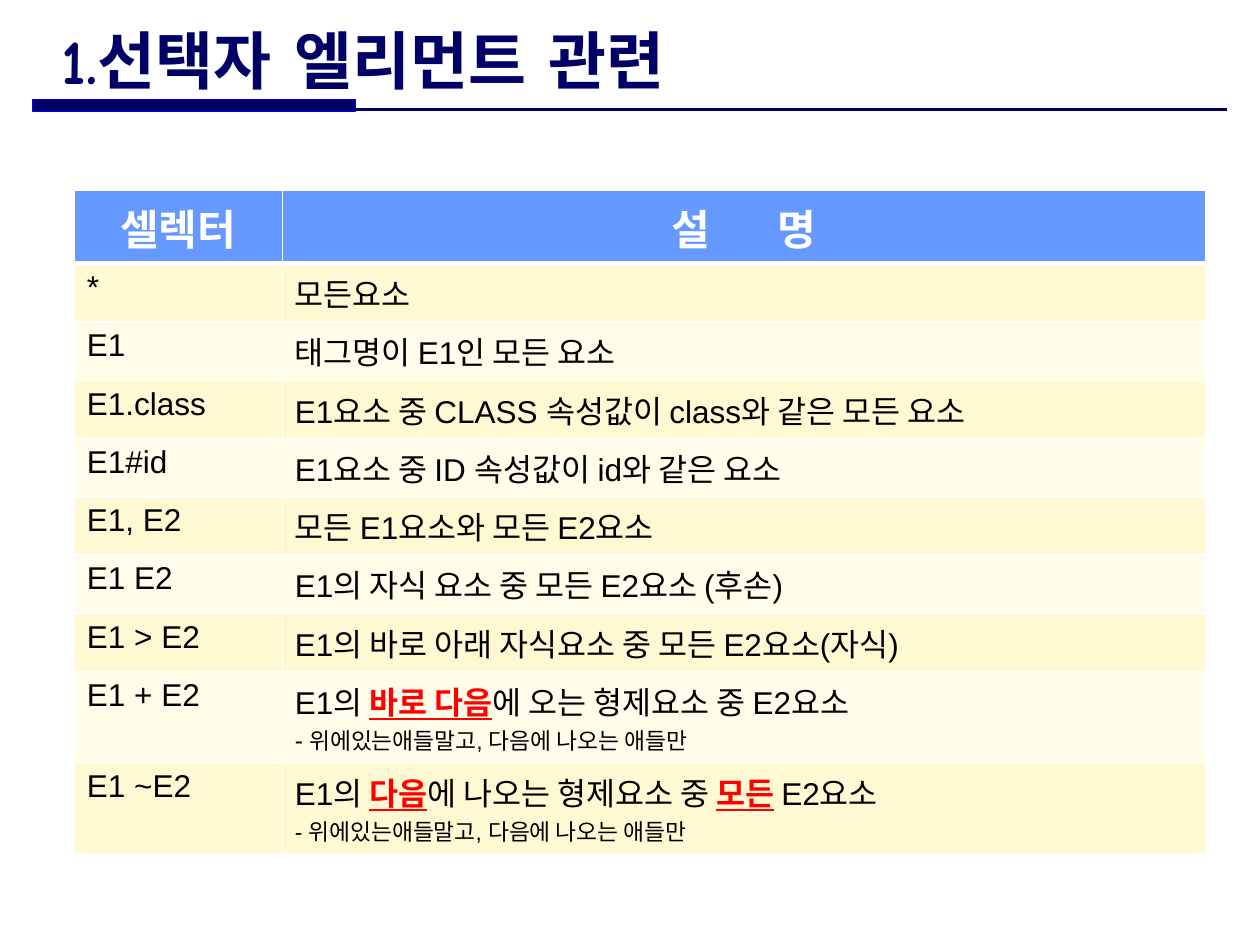
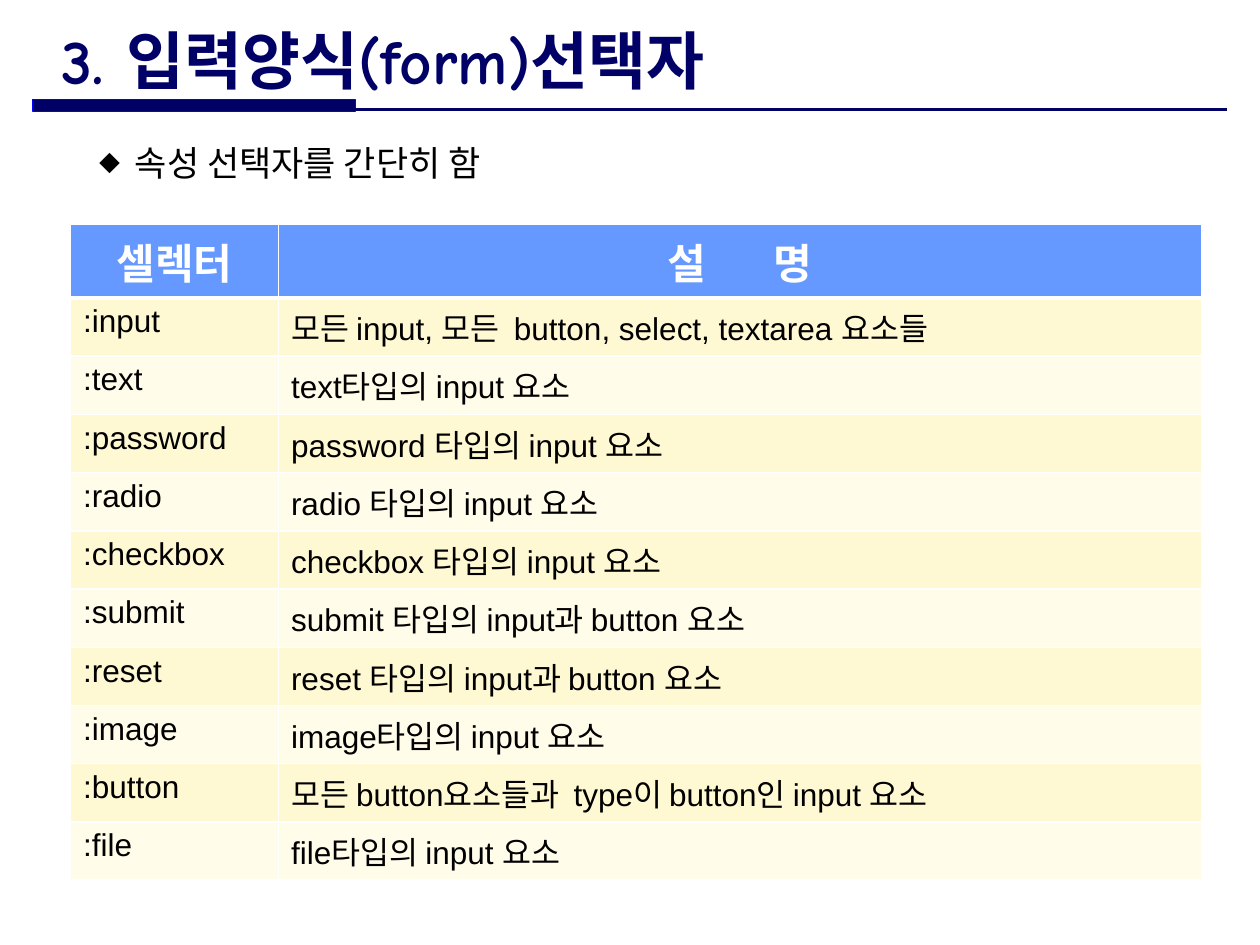
from dataclasses import dataclass
from typing import NamedTuple

from lxml.etree import SubElement
from pptx import Presentation
from pptx.dml.color import RGBColor
from pptx.enum.shapes import MSO_CONNECTOR, MSO_SHAPE
from pptx.enum.text import MSO_ANCHOR, MSO_AUTO_SIZE, PP_ALIGN
from pptx.oxml.ns import qn
from pptx.util import Inches, Pt

NAVY, BLUE, RED = "000066", "0000FF", "FF0000"
BLACK, WHITE = "000000", "FFFFFF"
HEADER_FILL = "6699FF"
BAND_FILLS = ("FFF9D3", "FFFCEA")
TITLE_FONT, LATIN_FONT, KOREAN_FONT = "Comic Neue", "Arial", "Noto Sans CJK KR"
COLUMN_WIDTHS = (1.65, 7.33)


class Span(NamedTuple):
    text: str
    size: float = 18
    color: str = BLACK
    bold: bool = False
    underline: bool = False
    latin: str = LATIN_FONT
    korean: str = KOREAN_FONT
    spacing: float = 0


class SelectorRow(NamedTuple):
    selector: str
    lines: list[list[Span]]


@dataclass
class SelectorTable:
    left: float
    top: float
    header_height: float
    row_height: float
    rows: list[SelectorRow]


@dataclass
class SelectorSlide:
    title: str
    table: SelectorTable
    bullet: str = ""


def rgb(value: str) -> RGBColor:
    return RGBColor.from_string(value)


def plain(selector: str, description: str) -> SelectorRow:
    return SelectorRow(selector, [[Span(description)]])


def key(text: str) -> Span:
    return Span(text, color=RED, bold=True, underline=True)


def header(text: str, spacing: float = 0) -> Span:
    return Span(text, 24, WHITE, True, spacing=spacing)


HEADER_CELLS = (
    [header("셀렉터")],
    [header("설"), header(" ", spacing=33), header("명")],
)

SIBLING_NOTE = "위에있는애들말고, 다음에 나오는 애들만"

ELEMENT_ROWS = [
    plain("*", "모든요소"),
    plain("E1", "태그명이 E1인 모든 요소"),
    plain("E1.class", "E1요소 중 CLASS 속성값이 class와 같은 모든 요소"),
    plain("E1#id", "E1요소 중 ID 속성값이 id와 같은 요소"),
    plain("E1, E2", "모든 E1요소와 모든 E2요소"),
    plain("E1 E2", "E1의 자식 요소 중 모든 E2요소 (후손)"),
    plain("E1 > E2", "E1의 바로 아래 자식요소 중 모든 E2요소(자식)"),
    SelectorRow("E1 + E2", [
        [Span("E1의 "), key("바로 다음"), Span("에 오는 형제요소 중 E2요소")],
        [Span("-", 14), Span(f" {SIBLING_NOTE}", 13)],
    ]),
    SelectorRow("E1 ~E2", [
        [Span("E1의 "), key("다음"), Span("에 나오는 형제요소 중 "), key("모든"),
         Span(" E2요소")],
        [Span(f"- {SIBLING_NOTE}", 13)],
    ]),
]

FORM_ROWS = [
    plain(":input", "모든 input, 모든  button, select, textarea 요소들"),
    plain(":text", "text타입의 input 요소"),
    plain(":password", "password 타입의 input 요소"),
    plain(":radio", "radio 타입의 input 요소"),
    plain(":checkbox", "checkbox 타입의 input 요소"),
    plain(":submit", "submit 타입의 input과 button 요소"),
    plain(":reset", "reset 타입의 input과 button 요소"),
    plain(":image", "image타입의 input 요소"),
    plain(":button", "모든 button요소들과  type이 button인 input 요소"),
    plain(":file", "file타입의 input 요소"),
]

SLIDES = [
    SelectorSlide("1.선택자 엘리먼트 관련",
                  SelectorTable(0.59, 1.51, 0.53, 0.43, ELEMENT_ROWS)),
    SelectorSlide("3. 입력양식(form)선택자",
                  SelectorTable(0.56, 1.78, 0.41, 0.41, FORM_ROWS),
                  "속성 선택자를 간단히 함"),
]


def write_spans(para, spans: list[Span], align=PP_ALIGN.LEFT) -> None:
    para.alignment = align
    for span in spans:
        run = para.add_run()
        run.text = span.text
        font = run.font
        font.size = Pt(span.size)
        font.bold = span.bold
        font.underline = span.underline
        font.color.rgb = rgb(span.color)
        font.name = span.latin
        properties = run._r.get_or_add_rPr()
        SubElement(properties, qn("a:ea")).set("typeface", span.korean)
        if span.spacing:
            properties.set("spc", str(int(span.spacing * 100)))


def place(shape, left: float, top: float, width: float, height: float) -> None:
    shape.left, shape.top = Inches(left), Inches(top)
    shape.width, shape.height = Inches(width), Inches(height)


# Title with the navy band and rule below it
def draw_heading(page, title: str) -> None:
    band = page.shapes.add_shape(MSO_SHAPE.RECTANGLE, Inches(0.26), Inches(0.79),
                                 Inches(2.56), Inches(0.09))
    band.shadow.inherit = False
    band.fill.solid()
    band.fill.fore_color.rgb = rgb(NAVY)
    band.line.color.rgb = rgb(BLUE)
    band.line.width = Pt(0.75)

    rule = page.shapes.add_connector(MSO_CONNECTOR.STRAIGHT, Inches(0.26),
                                     Inches(0.87), Inches(9.74), Inches(0.87))
    rule.line.color.rgb = rgb(NAVY)
    rule.line.width = Pt(1.5)
    SubElement(rule._element.spPr, qn("a:effectLst"))

    box = page.shapes.title
    place(box, 0.39, 0.21, 6.79, 0.52)
    frame = box.text_frame
    frame.auto_size = MSO_AUTO_SIZE.NONE
    frame.vertical_anchor = MSO_ANCHOR.MIDDLE
    write_spans(frame.paragraphs[0], [Span(title, 36, NAVY, True,
                                           latin=TITLE_FONT, korean=TITLE_FONT)])


# Body line with a diamond bullet
def draw_bullet(page, text: str) -> None:
    box = page.placeholders[1]
    place(box, 0.65, 1.07, 7.92, 0.44)
    frame = box.text_frame
    frame.auto_size = MSO_AUTO_SIZE.NONE
    frame.vertical_anchor = MSO_ANCHOR.TOP
    para = frame.paragraphs[0]
    write_spans(para, [Span(text, 20, latin=KOREAN_FONT)])
    para.space_before = Pt(0)
    properties = para._p.get_or_add_pPr()
    properties.set("marL", str(Inches(0.32)))
    properties.set("indent", str(Inches(-0.28)))
    SubElement(properties, qn("a:buSzPct")).set("val", "60000")
    SubElement(properties, qn("a:buFont")).set("typeface", KOREAN_FONT)
    SubElement(properties, qn("a:buChar")).set("char", "◆")


def style_cell(cell, fill: str, top: float, bottom: float) -> None:
    properties = cell._tc.get_or_add_tcPr()
    for side, width in (("L", 1), ("R", 1), ("T", top), ("B", bottom)):
        border = SubElement(properties, qn(f"a:ln{side}"))
        border.set("w", str(Pt(width)))
        SubElement(SubElement(border, qn("a:solidFill")),
                   qn("a:srgbClr")).set("val", WHITE)
    cell.fill.solid()
    cell.fill.fore_color.rgb = rgb(fill)


def write_cell(cell, lines: list[list[Span]], align=PP_ALIGN.LEFT) -> None:
    frame = cell.text_frame
    for index, spans in enumerate(lines):
        para = frame.add_paragraph() if index else frame.paragraphs[0]
        write_spans(para, spans, align)


# Selector table: header row and alternating bands
def draw_table(page, data: SelectorTable) -> None:
    height = data.header_height + data.row_height * len(data.rows)
    table = page.shapes.add_table(
        len(data.rows) + 1, len(COLUMN_WIDTHS), Inches(data.left), Inches(data.top),
        Inches(sum(COLUMN_WIDTHS)), Inches(height)).table
    for column, width in zip(table.columns, COLUMN_WIDTHS):
        column.width = Inches(width)

    table.rows[0].height = Inches(data.header_height)
    for cell, spans in zip(table.rows[0].cells, HEADER_CELLS):
        style_cell(cell, HEADER_FILL, 1, 3)
        write_cell(cell, [spans], PP_ALIGN.CENTER)

    for number, row in enumerate(data.rows, start=1):
        table.rows[number].height = Inches(data.row_height)
        contents = ([[Span(row.selector)]], row.lines)
        for cell, lines in zip(table.rows[number].cells, contents):
            style_cell(cell, BAND_FILLS[(number - 1) % 2], 3 if number == 1 else 1, 1)
            write_cell(cell, lines)


def main() -> None:
    deck = Presentation()
    deck.slide_width, deck.slide_height = Inches(10), Inches(7.5)
    title_and_body, title_only = deck.slide_layouts[1], deck.slide_layouts[5]
    for content in SLIDES:
        page = deck.slides.add_slide(title_and_body if content.bullet else title_only)
        draw_heading(page, content.title)
        draw_table(page, content.table)
        if content.bullet:
            draw_bullet(page, content.bullet)
    deck.save("out.pptx")


if __name__ == "__main__":
    main()
